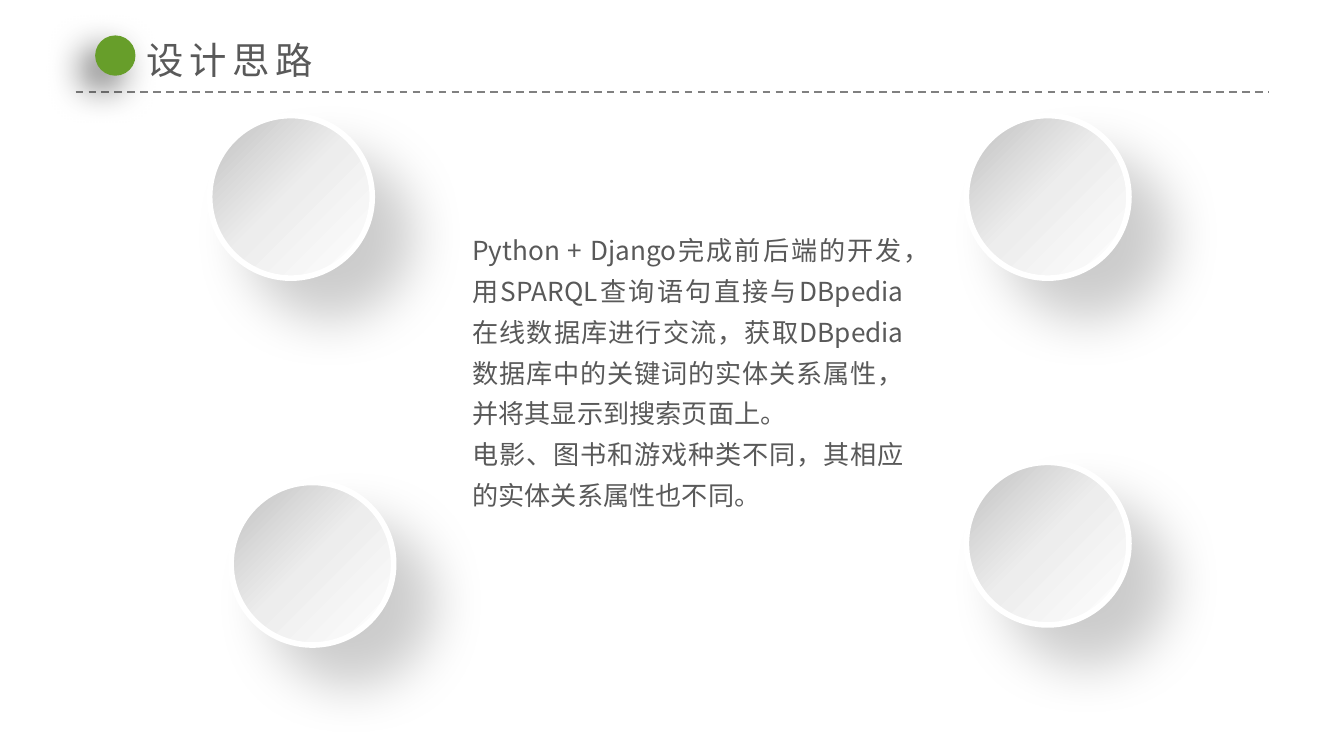
from lxml import etree
from pptx import Presentation
from pptx.dml.color import RGBColor
from pptx.enum import dml, shapes, text
from pptx.oxml import ns, parse_xml
from pptx.util import Pt

HEADING = "设计思路"
IDEAS = [
    "Python + Django完成前后端的开发，用SPARQL查询语句直接与DBpedia在线数据库进行交流，"
    "获取DBpedia数据库中的关键词的实体关系属性，并将其显示到搜索页面上。",
    "电影、图书和游戏种类不同，其相应的实体关系属性也不同。",
]
DISC_CORNERS = [(112.3, 61.9), (517.7, 61.9), (123.8, 258.5), (517.7, 247.7)]
DISC_SIZE = 87.1
DISC_STOPS = [(0, "C0C0C0"), (49, "EDEDED"), (100, "FFFFFF")]

FONT = "Noto Sans CJK SC"
INK = RGBColor(0x59, 0x59, 0x59)
RULE = RGBColor(0x80, 0x80, 0x80)
GREEN = RGBColor(0x67, 0x9E, 0x2A)
RIM = RGBColor(0xFF, 0xFF, 0xFF)


def add_shadow(shape, opacity, blur, distance, angle):
    shape.shadow.inherit = False
    effects = shape._element.spPr.find(ns.qn("a:effectLst"))
    effects.append(parse_xml(
        f'<a:outerShdw {ns.nsdecls("a")} blurRad="{Pt(blur)}" dist="{Pt(distance)}" '
        f'dir="{angle * 60000}" algn="ctr" rotWithShape="0"><a:srgbClr val="000000">'
        f'<a:alpha val="{opacity * 1000}"/></a:srgbClr></a:outerShdw>'))


def fill_gradient(shape, stops, angle):
    shape.fill.gradient()
    shape.fill.gradient_angle = 360 - angle
    stop_list = shape._element.spPr.find(ns.qn("a:gradFill")).find(ns.qn("a:gsLst"))
    for stop in list(stop_list):
        stop_list.remove(stop)
    for position, colour in stops:
        stop = etree.SubElement(stop_list, ns.qn("a:gs"), pos=str(position * 1000))
        etree.SubElement(stop, ns.qn("a:srgbClr"), val=colour)


def add_circle(slide, left, top, size):
    return slide.shapes.add_shape(
        shapes.MSO_SHAPE.OVAL, Pt(left), Pt(top), Pt(size), Pt(size))


def add_run(paragraph, words, size):
    run = paragraph.add_run()
    run.text = words
    run.font.size = Pt(size)
    run.font.color.rgb = INK
    run.font.name = FONT
    properties = run._r.get_or_add_rPr()
    etree.SubElement(properties, ns.qn("a:ea"), typeface=FONT)
    return properties


def main():
    deck = Presentation()
    deck.slide_width, deck.slide_height = Pt(720), Pt(405)
    slide = deck.slides.add_slide(deck.slide_layouts[6])

    rule = slide.shapes.add_connector(
        shapes.MSO_CONNECTOR.STRAIGHT, Pt(40.5), Pt(49.2), Pt(679.5), Pt(49.2))
    rule.line.color.rgb = RULE
    rule.line.width = Pt(1)
    rule.line.dash_style = dml.MSO_LINE.DASH
    etree.SubElement(rule._element.spPr, ns.qn("a:effectLst"))

    marker = add_circle(slide, 51, 19, 21.6)
    marker.fill.solid()
    marker.fill.fore_color.rgb = GREEN
    marker.line.fill.background()
    add_shadow(marker, 60, 20, 10, 135)

    heading = slide.shapes.add_textbox(Pt(71.3), Pt(16.6), Pt(107.3), Pt(31.5)).text_frame
    heading.word_wrap = False
    heading.auto_size = text.MSO_AUTO_SIZE.SHAPE_TO_FIT_TEXT
    add_run(heading.paragraphs[0], HEADING, 20).set("spc", "300")

    body = slide.shapes.add_textbox(Pt(247.7), Pt(118.1), Pt(241.9), Pt(159.8)).text_frame
    body.word_wrap = True
    body.auto_size = text.MSO_AUTO_SIZE.SHAPE_TO_FIT_TEXT
    body.margin_left = body.margin_right = Pt(5.4)
    body.margin_top = body.margin_bottom = Pt(2.7)
    for index, idea in enumerate(IDEAS):
        paragraph = body.add_paragraph() if index else body.paragraphs[0]
        paragraph.alignment = text.PP_ALIGN.JUSTIFY
        paragraph.line_spacing = 1.3
        add_run(paragraph, idea, 14)

    for left, top in DISC_CORNERS:
        disc = add_circle(slide, left, top, DISC_SIZE)
        fill_gradient(disc, DISC_STOPS, 45)
        disc.line.color.rgb = RIM
        disc.line.width = Pt(3)
        add_shadow(disc, 20, 29, 29, 45)

    deck.save("out.pptx")


if __name__ == "__main__":
    main()
